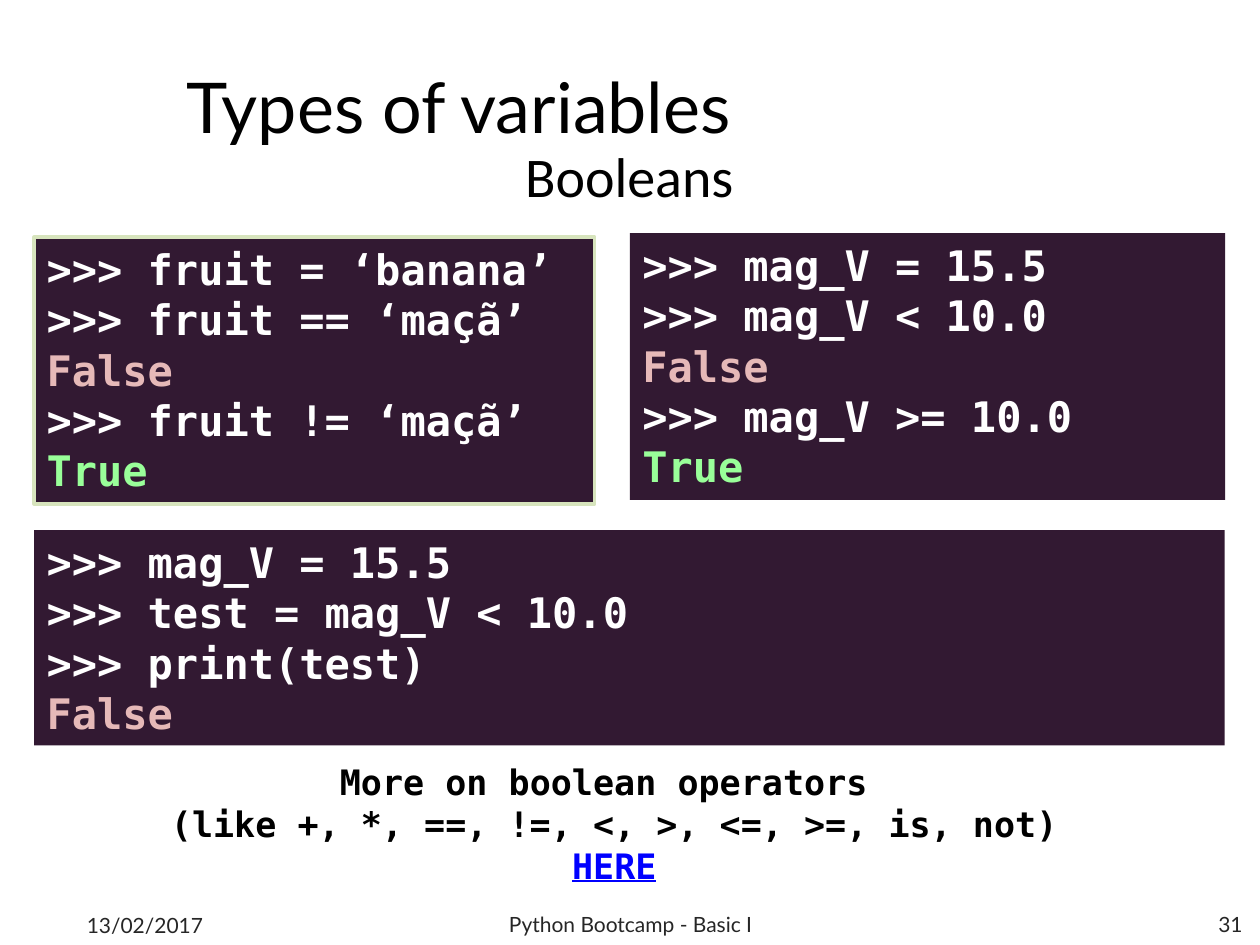
from pptx import Presentation
from pptx.dml.color import RGBColor
from pptx.enum.shapes import MSO_SHAPE
from pptx.enum.text import MSO_ANCHOR, PP_ALIGN
from pptx.util import Cm, Pt

COLORS = {
    "text": "000000",
    "footer": "262626",
    "code": "FFFFFF",
    "terminal": "321932",
    "border": "D7E4BD",
    "false": "E6B9B8",
    "true": "99FF99",
    "link": "0000FF",
}
OUTPUT_COLORS = {"False": "false", "True": "true"}
MONO = "DejaVu Sans Mono"
MARGIN = 0.69
FULL_WIDTH = 24


def color(name):
    return RGBColor.from_string(COLORS[name])


def add_text(para, text, font="Lato", size=12, name="text", bold=False,
             underline=False, align=PP_ALIGN.LEFT):
    para.alignment = align
    span = para.add_run()
    span.text = text
    span.font.name = font
    span.font.size = Pt(size)
    span.font.bold = bold
    span.font.underline = underline
    span.font.color.rgb = color(name)


def write_lines(frame, lines, anchor=MSO_ANCHOR.TOP):
    """Write one paragraph for each (text, format) pair."""
    frame.word_wrap = True
    frame.vertical_anchor = anchor
    for index, (text, style) in enumerate(lines):
        para = frame.add_paragraph() if index else frame.paragraphs[0]
        add_text(para, text, **style)


def add_label(page, left, top, width, height, lines, anchor=MSO_ANCHOR.TOP):
    box = page.shapes.add_textbox(Cm(left), Cm(top), Cm(width), Cm(height))
    write_lines(box.text_frame, lines, anchor)


def add_terminal(page, left, top, width, height, code, border=None):
    box = page.shapes.add_shape(
        MSO_SHAPE.RECTANGLE, Cm(left), Cm(top), Cm(width), Cm(height))
    box.shadow.inherit = False
    box.fill.solid()
    box.fill.fore_color.rgb = color("terminal")
    if border:
        box.line.color.rgb = color(border)
        box.line.width = Pt(2)
    else:
        box.line.fill.background()
    write_lines(box.text_frame, [
        (line, dict(font=MONO, size=24, bold=True,
                    name=OUTPUT_COLORS.get(line, "code")))
        for line in code])


def add_title(page, text):
    title = page.shapes.title
    title.left, title.top = Cm(3.51), Cm(1.12)
    title.width, title.height = Cm(20.62), Cm(2.01)
    write_lines(title.text_frame, [(text, dict(size=40))], MSO_ANCHOR.MIDDLE)


def add_footer(page):
    for text, left, top, width, align in (
            ("13/02/2017", 1.5, 18.14, 5.92, PP_ALIGN.LEFT),
            ("Python Bootcamp - Basic I", 8.69, 18.11, 8.05, PP_ALIGN.CENTER),
            ("31", 19.38, 18.11, 5.92, PP_ALIGN.RIGHT)):
        add_label(page, left, top, width, 1.02,
                  [(text, dict(name="footer", align=align))],
                  MSO_ANCHOR.MIDDLE)


def main():
    deck = Presentation()
    deck.slide_width, deck.slide_height = Cm(25.4), Cm(19.05)
    page = deck.slides.add_slide(deck.slide_layouts[5])

    # Heading
    add_title(page, "Types of variables")
    add_label(page, MARGIN, 2.72, FULL_WIDTH, 2.01, [
        ("Booleans", dict(font="Calibri", size=32, align=PP_ALIGN.CENTER))])

    # Code examples
    add_terminal(page, MARGIN, 4.78, 11.3, 5.38, [
        ">>> fruit = ‘banana’", ">>> fruit == ‘maçã’", "False",
        ">>> fruit != ‘maçã’", "True"], border="border")
    add_terminal(page, 12.7, 4.7, 12, 5.38, [
        ">>> mag_V = 15.5", ">>> mag_V < 10.0", "False",
        ">>> mag_V >= 10.0", "True"])
    add_terminal(page, MARGIN, 10.69, FULL_WIDTH, 4.34, [
        ">>> mag_V = 15.5", ">>> test = mag_V < 10.0", ">>> print(test)",
        "False"])

    # Further reading
    note = dict(font=MONO, size=20, bold=True, align=PP_ALIGN.CENTER)
    add_label(page, 2.29, 15.21, 20.19, 2.82, [
        ("More on boolean operators ", note),
        ("(like +, *, ==, !=, <, >, <=, >=, is, not)", note),
        ("HERE", dict(note, name="link", underline=True))])

    add_footer(page)
    deck.save("out.pptx")


if __name__ == "__main__":
    main()
